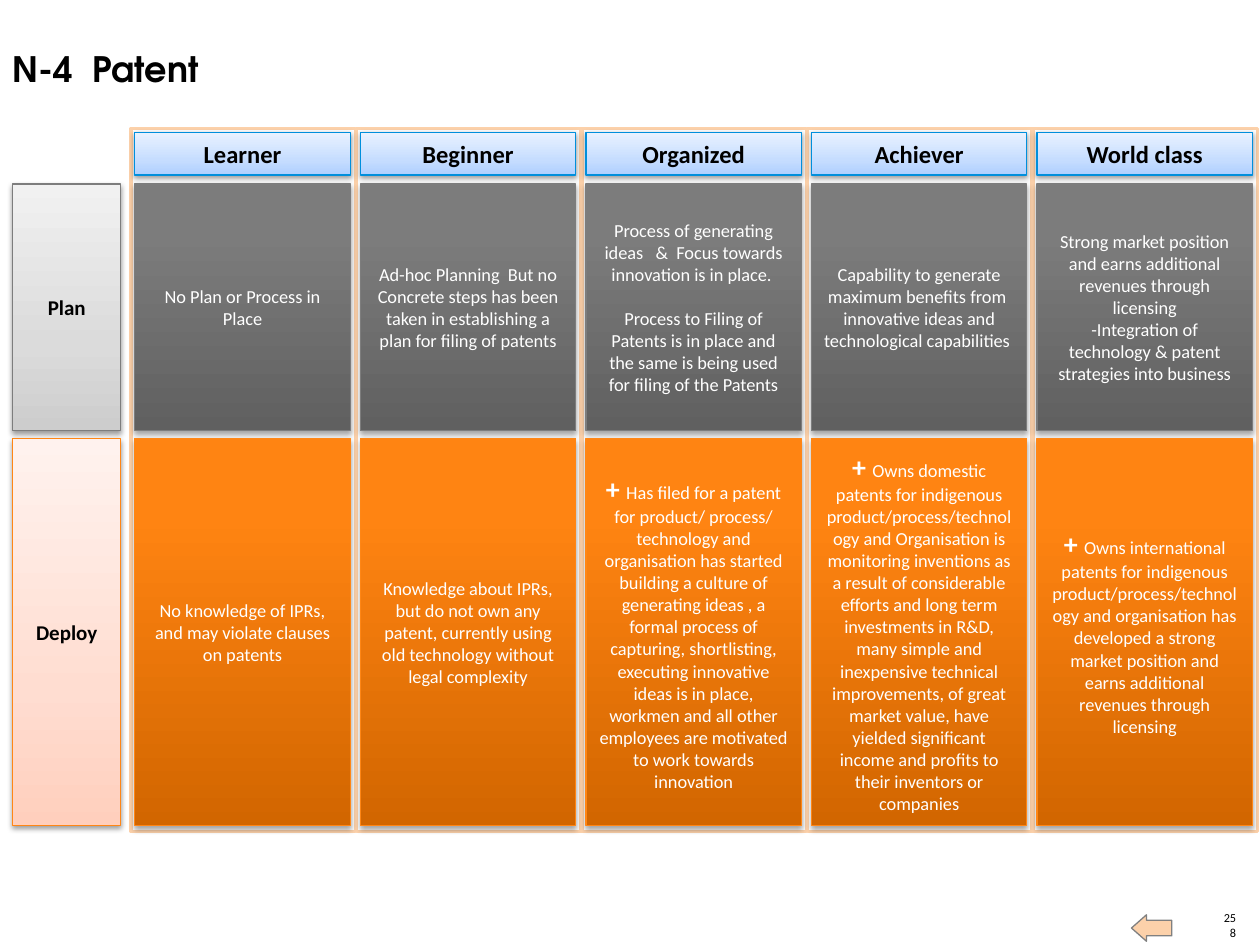
from copy import deepcopy
from pptx import Presentation
from pptx import util as u
from pptx.dml.color import RGBColor
from pptx.enum import shapes, text
from pptx.oxml import parse_xml
from pptx.oxml.ns import nsdecls, qn

STYLES = {
    "level": {"stops": [(0, "AECFFF"), (0.35, "C6DDFF"), (1, "E9F2FF")],
              "line": "008FDC", "size": 14, "color": "000000", "bold": True, "shadow": (38, 1.6)},
    "plan_label": {"stops": [(0, "CDCDCD"), (0.35, "DBDBDB"), (1, "F1F1F1")],
                   "line": "7D7D7D", "size": 12, "color": "000000", "bold": True, "shadow": (38, 1.6)},
    "deploy_label": {"stops": [(0, "FFCFBD"), (0.35, "FFDDD1"), (1, "FFF2EE")],
                     "line": "FF8615", "size": 12, "color": "000000", "bold": True, "shadow": (38, 1.6)},
    "plan": {"stops": [(0, "606060"), (0.8, "7C7C7C"), (1, "7D7D7D")],
             "line": "7D7D7D", "size": 10.5, "color": "FFFFFF", "bold": False, "shadow": (35, 1.8)},
    "deploy": {"stops": [(0, "D26600"), (0.8, "FF8412"), (1, "FF8514")],
               "line": "FF8615", "size": 10.5, "color": "FFFFFF", "bold": False, "shadow": (35, 1.8)},
}

LEVELS = ["Learner", "Beginner", "Organized", "Achiever", "World class"]

# Each cell is a list of paragraphs; a leading "+ " is set larger and bold
PLAN = [
    ["No Plan or Process in Place"],
    ["Ad-hoc Planning  But no Concrete steps has been taken in establishing a plan "
     "for filing of patents"],
    ["Process of generating ideas   &  Focus towards innovation is in place. ",
     "Process to Filing of Patents is in place and the same is being used for filing "
     "of the Patents"],
    ["Capability to generate maximum benefits from  innovative ideas and technological "
     "capabilities "],
    ["Strong market position and earns additional revenues through licensing",
     "-Integration of technology & patent strategies into business"],
]
DEPLOY = [
    ["No knowledge of IPRs, and may violate clauses on patents"],
    ["Knowledge about IPRs, but do not own any patent, currently using old technology "
     "without legal complexity"],
    ["+ Has filed for a patent for product/ process/ technology and organisation has "
     "started building a culture of generating ideas , a formal process of capturing, "
     "shortlisting, executing innovative ideas is in place, workmen and all other "
     "employees are motivated to work towards innovation"],
    ["+ Owns domestic patents for indigenous product/process/technology and Organisation "
     "is monitoring inventions as a result of considerable efforts and long term "
     "investments in R&D, many simple and inexpensive technical improvements, of great "
     "market value, have yielded significant income and profits to their inventors or "
     "companies"],
    ["+ Owns international patents for indigenous product/process/technology and "
     "organisation has developed a strong market position and earns additional revenues "
     "through licensing"],
]


def rgb(value):
    return RGBColor.from_string(value)


def inches(box):
    return [u.Inches(v) for v in box]


def add_run(p, words, size, color="000000", bold=False, font="Calibri"):
    r = p.add_run()
    r.text = words
    for name, value in {"size": u.Pt(size), "bold": bold, "name": font}.items():
        setattr(r.font, name, value)
    r.font.color.rgb = rgb(color)


def add_box(s, kind, box, fill, line, width):
    sp = s.shapes.add_shape(kind, *inches(box))
    sp.shadow.inherit = False
    if fill:
        sp.fill.solid()
        sp.fill.fore_color.rgb = rgb(fill)
    sp.line.color.rgb = rgb(line)
    sp.line.width = u.Pt(width)
    return sp


def add_gradient(sp, stops):
    sp.fill.gradient()
    sp.fill.gradient_angle = 90
    gs_list = sp.fill._xPr.find(qn("a:gradFill")).find(qn("a:gsLst"))
    gs_list.insert(1, deepcopy(gs_list[0]))
    for stop, (position, color) in zip(sp.fill.gradient_stops, stops):
        stop.position = position
        stop.color.rgb = rgb(color)


def add_shadow(sp, alpha, distance):
    effects = sp._element.spPr.find(qn("a:effectLst"))
    effects.append(parse_xml(
        f'<a:outerShdw {nsdecls("a")} blurRad="{u.Pt(3.1)}" dist="{u.Pt(distance)}" '
        f'dir="5400000" rotWithShape="0"><a:srgbClr val="000000">'
        f'<a:alpha val="{alpha * 1000}"/></a:srgbClr></a:outerShdw>'))


def add_cell(s, box, paragraphs, style, gap=0):
    st = STYLES[style]
    sp = add_box(s, shapes.MSO_SHAPE.RECTANGLE, box, None, st["line"], 0.75)
    add_gradient(sp, st["stops"])
    add_shadow(sp, *st["shadow"])
    tf = sp.text_frame
    tf.word_wrap = True
    tf.vertical_anchor = text.MSO_ANCHOR.MIDDLE
    for i, words in enumerate(paragraphs):
        p = tf.add_paragraph() if i else tf.paragraphs[0]
        p.alignment = text.PP_ALIGN.CENTER
        if i and gap:
            p.space_before = u.Pt(gap)
        if words.startswith("+ "):
            add_run(p, "+ ", 16, st["color"], True)
            words = words[2:]
        add_run(p, words, st["size"], st["color"], st["bold"])


def add_title(s, box, words):
    title = s.shapes.title
    title.left, title.top, title.width, title.height = inches(box)
    tf = title.text_frame
    for name, value in {"word_wrap": True, "auto_size": text.MSO_AUTO_SIZE.NONE,
                        "vertical_anchor": text.MSO_ANCHOR.TOP}.items():
        setattr(tf, name, value)
    p = tf.paragraphs[0]
    p.alignment = text.PP_ALIGN.LEFT
    add_run(p, words, 20, bold=True, font="TeX Gyre Adventor")


def add_footer(s, left, top):
    # Back arrow
    arrow = add_box(s, shapes.MSO_SHAPE.RIGHT_ARROW, (left, top, 0.32, 0.21),
                    "FCD1AA", "808080", 0.75)
    arrow.rotation = 180
    arrow.adjustments[0], arrow.adjustments[1] = 0.588, 0.565
    # Page number
    tf = s.shapes.add_textbox(*inches((left + 0.71, top + 0.08, 0.12, 0.12))).text_frame
    for name, value in {"margin_left": 0, "margin_right": 0, "margin_top": 0,
                        "margin_bottom": 0, "word_wrap": True,
                        "vertical_anchor": text.MSO_ANCHOR.BOTTOM}.items():
        setattr(tf, name, value)
    p = tf.paragraphs[0]
    p.alignment = text.PP_ALIGN.RIGHT
    add_run(p, "258", 7)


def add_matrix(s, left, top, width, height):
    pitch, cell_width, inset = 1.79, 1.71, 0.03
    first = left + width - 4 * pitch - 1.78
    rows = [(top + 0.44, 1.96, "Plan", "plan", PLAN),
            (top + 2.46, 3.07, "Deploy", "deploy", DEPLOY)]
    # Row labels
    for y, h, label, style, _ in rows:
        add_cell(s, (left, y, 0.86, h), [label], style + "_label")
    # Column frames
    for i in range(len(LEVELS)):
        add_box(s, shapes.MSO_SHAPE.RECTANGLE, (first + i * pitch, top, 1.78, height),
                "FFFFFF", "FCD1AA", 2)
    # Level headings and cells
    for i, level in enumerate(LEVELS):
        x = first + i * pitch + inset
        for y, h, _, style, cells in rows:
            gap = 12.8 if (style, level) == ("plan", "Organized") else 0
            add_cell(s, (x, y, cell_width, h), cells[i], style, gap)
        add_cell(s, (x, top + inset, cell_width, 0.34), [level], "level")


def main():
    prs = Presentation()
    prs.slide_width, prs.slide_height = inches((10, 7.5))
    s = prs.slides.add_slide(prs.slide_layouts[5])
    add_footer(s, 8.98, 7.26)
    add_title(s, (0, 0.33, 8.6, 0.44), "N-4  Patent")
    add_matrix(s, 0.1, 1.02, 9.88, 5.58)
    prs.save("out.pptx")


if __name__ == "__main__":
    main()
